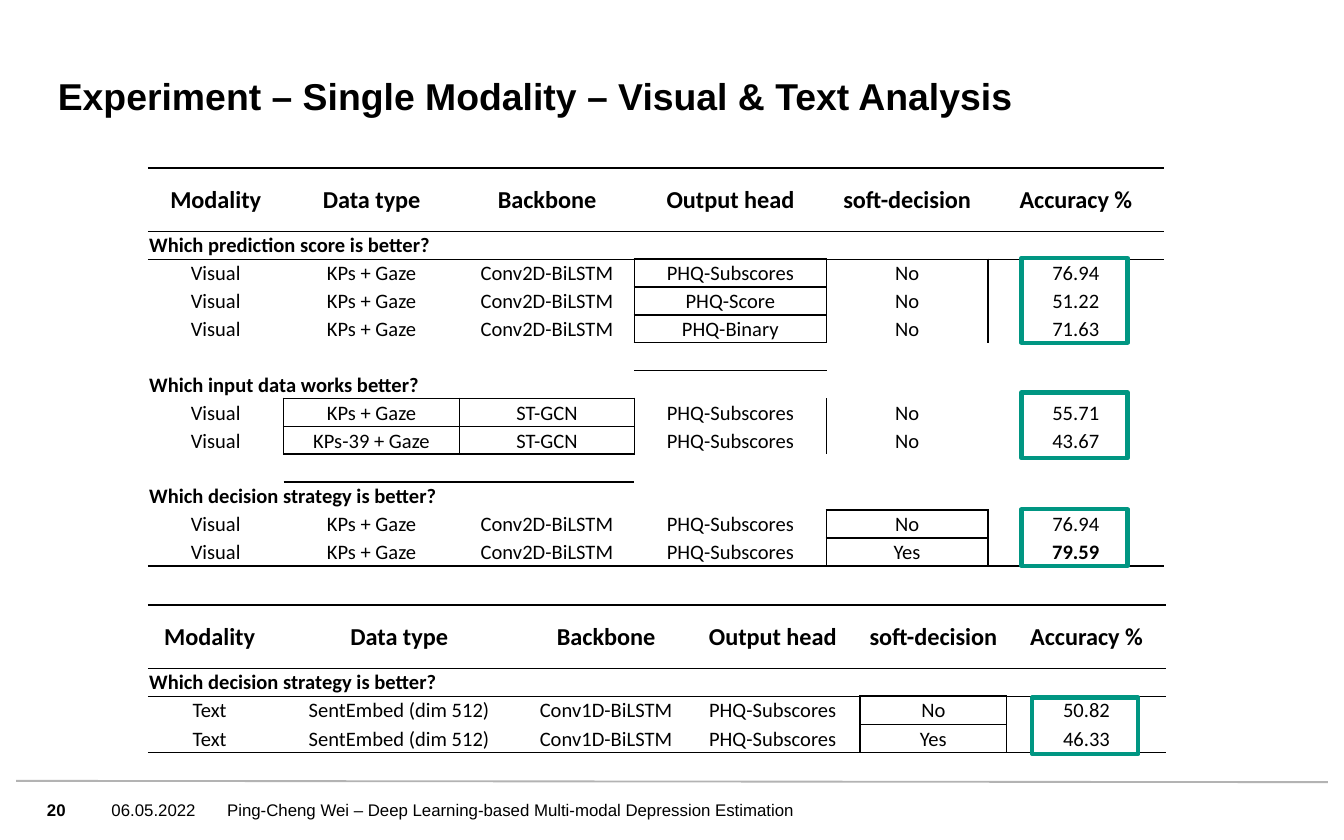
"""Build the slide on single-modality visual and text results."""
from typing import Any, NamedTuple

from lxml.etree import SubElement
from pptx import Presentation
from pptx.dml.color import RGBColor
from pptx.enum.shapes import MSO_CONNECTOR as Link, MSO_SHAPE as Form
from pptx.enum.text import MSO_ANCHOR as Anchor, MSO_AUTO_SIZE as Fit, PP_ALIGN as Align
from pptx.oxml.ns import qn
from pptx.util import Inches, Pt

BLACK = RGBColor(0x00, 0x00, 0x00)
GREEN = RGBColor(0x00, 0x96, 0x82)
GREY = RGBColor(0xB3, 0xB3, 0xB3)
PLAIN = "{2D5ABB26-0587-4C30-8999-92F81FD0307C}"
LEFT, WIDTH, HEAD = 1.1, 7.57, 0.47
FRAME = 0.79
NAMES = ("Modality", "Data type", "Backbone", "Output head", "soft-decision", "Accuracy %")
SUB, CONV = "PHQ-Subscores", "Conv2D-BiLSTM"
GAZE = ("Visual", "KPs + Gaze")
SENT = ("Text", "SentEmbed (dim 512)", "Conv1D-BiLSTM", SUB)
PLAN = "Which decision strategy is better?"


class Box(NamedTuple):
    row: int
    col: int
    span: int = 1


class Grid(NamedTuple):
    top: float
    height: float
    cols: tuple[float, ...]
    rows: tuple[tuple[str, ...], ...]
    boxes: tuple[Box, ...]
    best: str = ""


class Frame(NamedTuple):
    left: float
    top: float
    height: float


class Note(NamedTuple):
    left: float
    width: float
    text: str
    bold: bool = False


GRIDS = (
    Grid(1.25, 2.96, (1.01, 1.31, 1.3, 1.43, 1.2, 1.31), (
        NAMES,
        ("Which prediction score is better?",),
        (*GAZE, CONV, SUB, "No", "76.94"),
        (*GAZE, CONV, "PHQ-Score", "No", "51.22"),
        (*GAZE, CONV, "PHQ-Binary", "No", "71.63"),
        (),
        ("Which input data works better?",),
        (*GAZE, "ST-GCN", SUB, "No", "55.71"),
        ("Visual", "KPs-39 + Gaze", "ST-GCN", SUB, "No", "43.67"),
        (),
        (PLAN,),
        (*GAZE, CONV, SUB, "No", "76.94"),
        (*GAZE, CONV, SUB, "Yes", "79.59"),
    ), (Box(2, 3), Box(3, 3), Box(4, 3), Box(7, 1), Box(8, 1), Box(7, 2, 2),
        Box(11, 4), Box(12, 4)), "79.59"),
    Grid(4.5, 1.1, (0.92, 1.9, 1.18, 1.3, 1.09, 1.19), (
        NAMES,
        (PLAN,),
        (*SENT, "No", "50.82"),
        (*SENT, "Yes", "46.33"),
    ), (Box(2, 4), Box(3, 4))),
)
FRAMES = (Frame(7.6, 1.92, 0.63), Frame(7.6, 2.92, 0.49),
          Frame(7.6, 3.79, 0.42), Frame(7.68, 5.19, 0.42))
NOTES = (
    Note(0.35, 0.36, "20", True),
    Note(0.83, 0.94, "06.05.2022"),
    Note(1.69, 5.2, "Ping-Cheng Wei – Deep Learning-based Multi-modal Depression Estimation"),
)


def write(frame: Any, text: str, *, size: float, face: str = "Arial",
          bold: bool = False, align: Any = Align.LEFT) -> None:
    para = frame.paragraphs[0]
    para.alignment = align
    if not text:
        SubElement(para._p, qn("a:endParaRPr"), sz=str(int(size * 100)))
        return
    run = para.add_run()
    run.text = text
    font = run.font
    font.size, font.name, font.bold = Pt(size), face, bold
    font.color.rgb = BLACK


def trim(frame: Any, anchor: Any) -> None:
    frame.margin_left = frame.margin_right = frame.margin_top = frame.margin_bottom = 0
    frame.vertical_anchor = anchor
    frame.word_wrap = True
    frame.auto_size = Fit.NONE


def find_edges(grid: Grid) -> dict[tuple[str, int, int], float]:
    edges = {}
    for col in range(len(grid.cols)):
        edges["h", 0, col] = edges["h", len(grid.rows), col] = 1
        edges["h", 1, col] = 0.5
    for row, col, span in grid.boxes:
        edges["h", row, col] = edges["h", row + span, col] = 1
        for step in range(row, row + span):
            edges["v", step, col] = edges["v", step, col + 1] = 1
    return edges


def add_edge(cell: Any, side: str, width: float) -> None:
    line = SubElement(cell._tc.get_or_add_tcPr(), qn(f"a:ln{side}"), w=str(Pt(width)))
    fill = SubElement(line, qn("a:solidFill"))
    SubElement(fill, qn("a:srgbClr"), val=str(BLACK))


def add_grid(slide: Any, grid: Grid) -> None:
    count, wide = len(grid.rows), len(grid.cols)
    table = slide.shapes.add_table(count, wide, Inches(LEFT), Inches(grid.top),
                                   Inches(WIDTH), Inches(grid.height)).table
    table._tbl.tblPr.find(qn("a:tableStyleId")).text = PLAIN
    table.first_row = table.horz_banding = False
    for col, width in zip(table.columns, grid.cols):
        col.width = Inches(width)
    edges = find_edges(grid)
    for row, texts in enumerate(grid.rows):
        table.rows[row].height = Inches((grid.height - HEAD) / (count - 1) if row else HEAD)
        ask = len(texts) == 1
        for col in range(wide):
            cell = table.cell(row, col)
            cell.margin_left = cell.margin_right = cell.margin_top = Inches(0.01)
            cell.margin_bottom = 0
            cell.vertical_anchor = Anchor.MIDDLE
            text = texts[col] if col < len(texts) else ""
            write(cell.text_frame, text, size=11 if row else 13, face="Calibri",
                  bold=not row or ask or text == grid.best,
                  align=Align.LEFT if ask else Align.CENTER)
            sides = {"L": ("v", row, col), "R": ("v", row, col + 1),
                     "T": ("h", row, col), "B": ("h", row + 1, col)}
            for side, key in sides.items():
                if key in edges:
                    add_edge(cell, side, edges[key])
            cell.fill.background()
        if ask:
            table.cell(row, 0).merge(table.cell(row, wide - 1))


def add_frame(slide: Any, frame: Frame) -> None:
    shape = slide.shapes.add_shape(Form.RECTANGLE, Inches(frame.left), Inches(frame.top),
                                   Inches(FRAME), Inches(frame.height))
    shape.shadow.inherit = False
    shape.fill.background()
    shape.line.color.rgb = GREEN
    shape.line.width = Pt(2.25)


def add_note(slide: Any, note: Note) -> None:
    frame = slide.shapes.add_textbox(Inches(note.left), Inches(5.83),
                                     Inches(note.width), Inches(0.39)).text_frame
    trim(frame, Anchor.MIDDLE)
    write(frame, note.text, size=9, bold=note.bold)


def add_rule(slide: Any) -> None:
    rule = slide.shapes.add_connector(Link.STRAIGHT, Inches(0.12), Inches(5.81),
                                      Inches(9.88), Inches(5.82))
    rule.line.color.rgb = GREY
    rule.line.width = Pt(1)
    SubElement(rule._element.spPr, qn("a:effectLst"))


def main() -> None:
    deck = Presentation()
    deck.slide_width, deck.slide_height = Inches(10), Inches(6.25)
    slide = deck.slides.add_slide(deck.slide_layouts[5])
    title = slide.shapes.title
    title.left, title.top = Inches(0.43), Inches(0.37)
    title.width, title.height = Inches(7.56), Inches(0.51)
    trim(title.text_frame, Anchor.BOTTOM)
    write(title.text_frame, "Experiment – Single Modality – Visual & Text Analysis",
          size=20, bold=True)
    add_rule(slide)
    for note in NOTES:
        add_note(slide, note)
    for grid in GRIDS:
        add_grid(slide, grid)
    for frame in FRAMES:
        add_frame(slide, frame)
    deck.save("out.pptx")


if __name__ == "__main__":
    main()
